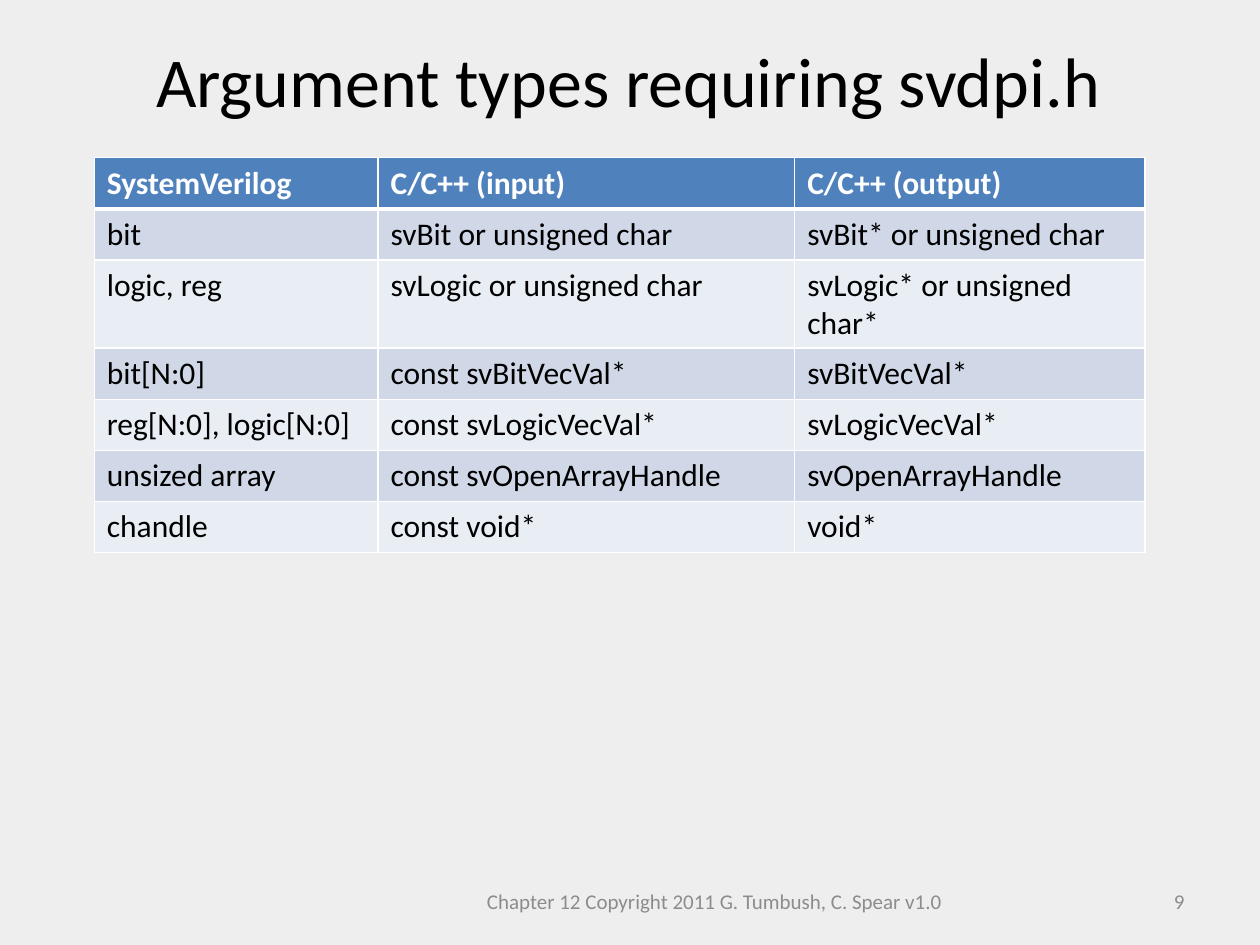
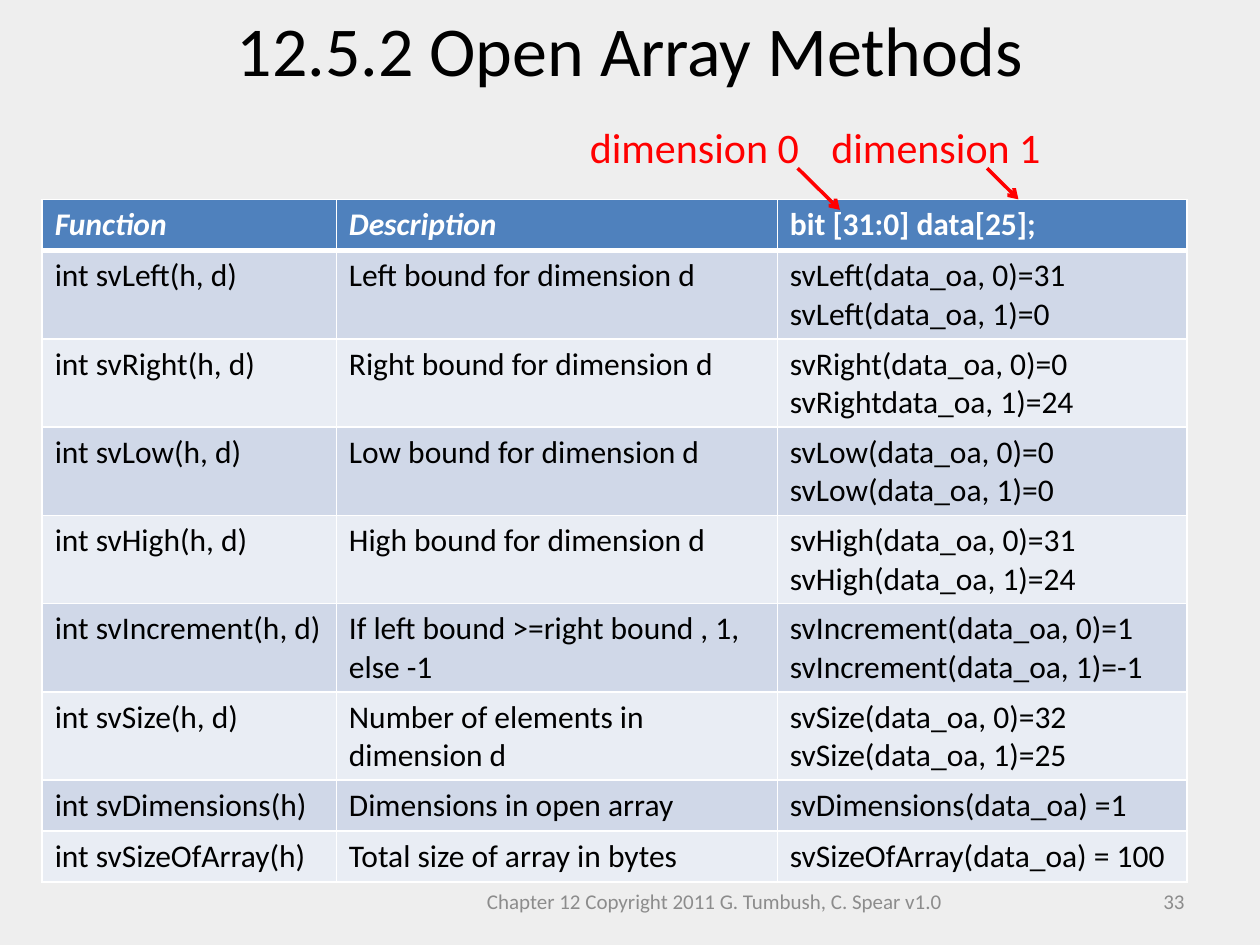
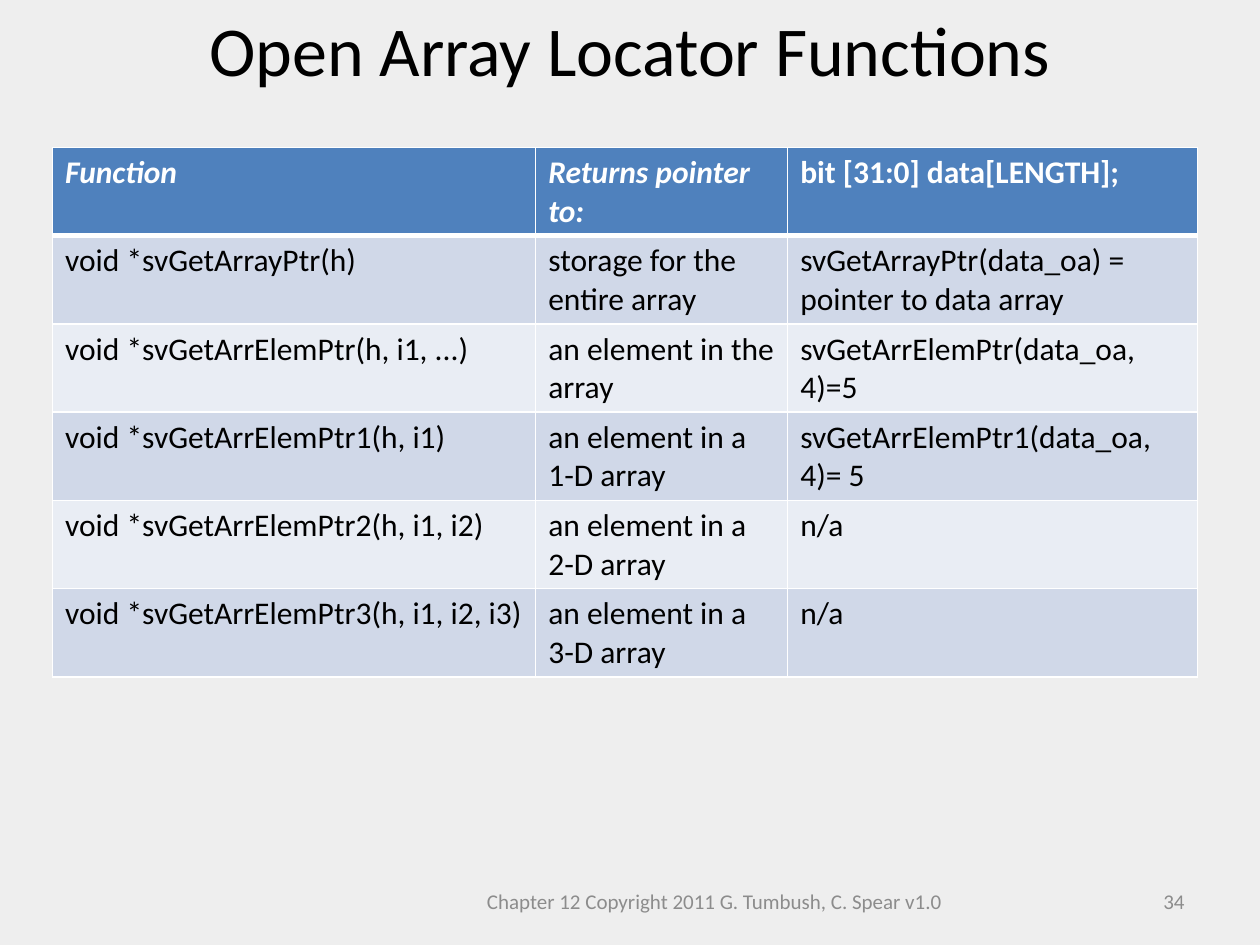
"""Build three slides of reference tables on SystemVerilog argument types and open arrays."""
from lxml import etree
from pptx import Presentation
from pptx import util as u
from pptx.dml.color import RGBColor
from pptx.enum import shapes, text
from pptx.oxml.ns import qn

FONT = "Calibri"
BLACK = RGBColor(0x00, 0x00, 0x00)
WHITE = RGBColor(0xFF, 0xFF, 0xFF)
RED = RGBColor(0xFF, 0x00, 0x00)
GREY = RGBColor(0x8C, 0x8C, 0x8C)
BACKGROUND = RGBColor(0xEE, 0xEE, 0xEE)
HEADER_FILL = RGBColor(0x4F, 0x81, 0xBD)
BAND_FILLS = RGBColor(0xD0, 0xD8, 0xE8), RGBColor(0xE9, 0xED, 0xF4)

TITLE = {"size": u.Pt(40), "color": BLACK}
FOOTER = {"size": u.Pt(12), "color": GREY}
LABEL = {"size": u.Pt(24), "color": RED}
HEADER = {"size": u.Pt(18), "color": WHITE, "bold": True}
BODY = {"size": u.Pt(18), "color": BLACK, "bold": False}

FOOTER_TEXT = "Chapter 12 Copyright 2011 G. Tumbush, C. Spear v1.0"
FOOTER_AREA = (8.69, 17.65, 11.43, 1.02)
NUMBER_AREA = (18.21, 17.65, 5.92, 1.02)
TOP_TITLE_AREA = (0, 0, 25.4, 1.96)
ROW_HEIGHT = 1.03

SLIDES = [
    {
        "title": "Argument types requiring svdpi.h",
        "title_area": (0.84, 0.64, 23.65, 1.96),
        "number": 9,
        "table_at": (1.9, 3.18),
        "columns": (5.72, 8.4, 7.06),
        "italic_heads": 0,
        "rows": [
            ("SystemVerilog", "C/C++ (input)", "C/C++ (output)"),
            ("bit", "svBit or unsigned char", "svBit* or unsigned char"),
            ("logic, reg", "svLogic or unsigned char", "svLogic* or unsigned char*"),
            ("bit[N:0]", "const svBitVecVal*", "svBitVecVal*"),
            ("reg[N:0], logic[N:0]", "const svLogicVecVal*", "svLogicVecVal*"),
            ("unsized array", "const svOpenArrayHandle", "svOpenArrayHandle"),
            ("chandle", "const void*", "void*"),
        ],
        "callouts": [],
    },
    {
        "title": "12.5.2 Open Array Methods",
        "title_area": TOP_TITLE_AREA,
        "number": 33,
        "table_at": (0.85, 4.02),
        "columns": (5.93, 8.89, 8.26),
        "italic_heads": 2,
        "rows": [
            ("Function", "Description", "bit [31:0] data[25];"),
            ("int svLeft(h, d)", "Left bound for dimension d",
             "svLeft(data_oa, 0)=31\nsvLeft(data_oa, 1)=0"),
            ("int svRight(h, d)", "Right bound for dimension d",
             "svRight(data_oa, 0)=0\nsvRightdata_oa, 1)=24"),
            ("int svLow(h, d)", "Low bound for dimension d",
             "svLow(data_oa, 0)=0\nsvLow(data_oa, 1)=0"),
            ("int svHigh(h, d)", "High bound for dimension d",
             "svHigh(data_oa, 0)=31\nsvHigh(data_oa, 1)=24"),
            ("int svIncrement(h, d)", "If left bound >=right bound , 1, else -1",
             "svIncrement(data_oa, 0)=1\nsvIncrement(data_oa, 1)=-1"),
            ("int svSize(h, d)", "Number of elements in dimension d",
             "svSize(data_oa, 0)=32\nsvSize(data_oa, 1)=25"),
            ("int svDimensions(h)", "Dimensions in open array", "svDimensions(data_oa) =1"),
            ("int svSizeOfArray(h)", "Total size of array in bytes",
             "svSizeOfArray(data_oa) = 100"),
        ],
        "callouts": [
            ("dimension 0", (11.64, 2.33, 4.78, 1.27), (16.08, 3.39, 16.93, 4.23)),
            ("dimension 1", (16.51, 2.33, 4.78, 1.27), (19.9, 3.39, 20.53, 4.02)),
        ],
    },
    {
        "title": "Open Array Locator Functions",
        "title_area": TOP_TITLE_AREA,
        "number": 34,
        "table_at": (1.06, 2.97),
        "columns": (9.74, 5.08, 8.26),
        "italic_heads": 2,
        "rows": [
            ("Function", "Returns pointer to:", "bit [31:0] data[LENGTH];"),
            ("void *svGetArrayPtr(h)", "storage for the entire array",
             "svGetArrayPtr(data_oa) = pointer to data array"),
            ("void *svGetArrElemPtr(h, i1, ...)", "an element in the array",
             "svGetArrElemPtr(data_oa, 4)=5"),
            ("void *svGetArrElemPtr1(h, i1)", "an element in a 1-D array",
             "svGetArrElemPtr1(data_oa, 4)= 5"),
            ("void *svGetArrElemPtr2(h, i1, i2)", "an element in a 2-D array", "n/a"),
            ("void *svGetArrElemPtr3(h, i1, i2, i3)", "an element in a 3-D array", "n/a"),
        ],
        "callouts": [],
    },
]


def to_cm(lengths):
    return [u.Cm(length) for length in lengths]


def write(frame, words, style, align=text.PP_ALIGN.LEFT):
    frame.text = words
    for para in frame.paragraphs:
        para.alignment = align
        for span in para.runs:
            span.font.name = FONT
            for name, value in style.items():
                if name == "color":
                    span.font.color.rgb = value
                else:
                    setattr(span.font, name, value)


def add_text(page, area, words, style, align=text.PP_ALIGN.CENTER,
             anchor=text.MSO_ANCHOR.TOP, wrap=True):
    frame = page.shapes.add_textbox(*to_cm(area)).text_frame
    frame.word_wrap = wrap
    frame.vertical_anchor = anchor
    write(frame, words, style, align)


def set_borders(cell, widths):
    properties = cell._tc.get_or_add_tcPr()
    for position, (side, points) in enumerate(widths.items()):
        line = etree.Element(qn(f"a:ln{side}"), w=str(u.Pt(points)))
        fill = etree.SubElement(line, qn("a:solidFill"))
        etree.SubElement(fill, qn("a:srgbClr"), val=str(WHITE))
        properties.insert(position, line)


def add_reference_table(page, content):
    rows, columns = content["rows"], content["columns"]
    size = sum(columns), ROW_HEIGHT * len(rows)
    table = page.shapes.add_table(
        len(rows), len(columns), *to_cm(content["table_at"] + size)).table
    for column, width in zip(table.columns, columns):
        column.width = u.Cm(width)
    for row_index, row in enumerate(rows):
        table.rows[row_index].height = u.Cm(ROW_HEIGHT)
        is_header = row_index == 0
        style = HEADER if is_header else BODY
        for column_index, words in enumerate(row):
            cell = table.cell(row_index, column_index)
            italic = is_header and column_index < content["italic_heads"]
            write(cell.text_frame, words, {**style, "italic": italic})
            cell.fill.solid()
            cell.fill.fore_color.rgb = HEADER_FILL if is_header else BAND_FILLS[(row_index - 1) % 2]
            set_borders(cell, {"L": 1, "R": 1, "T": 3 if row_index == 1 else 1,
                               "B": 3 if is_header else 1})


def add_callout(page, words, area, ends):
    arrow = page.shapes.add_connector(shapes.MSO_CONNECTOR.STRAIGHT, *to_cm(ends))
    arrow.line.color.rgb = RED
    arrow.line.width = u.Pt(2)
    etree.SubElement(arrow.line._get_or_add_ln(), qn("a:tailEnd"), type="arrow")
    etree.SubElement(arrow._element.spPr, qn("a:effectLst"))
    add_text(page, area, words, LABEL, text.PP_ALIGN.LEFT, wrap=False)


def add_page(deck, content):
    page = deck.slides.add_slide(deck.slide_layouts[6])
    page.background.fill.solid()
    page.background.fill.fore_color.rgb = BACKGROUND
    middle = text.MSO_ANCHOR.MIDDLE
    add_text(page, FOOTER_AREA, FOOTER_TEXT, FOOTER, anchor=middle)
    add_text(page, content["title_area"], content["title"], TITLE)
    add_text(page, NUMBER_AREA, str(content["number"]), FOOTER, text.PP_ALIGN.RIGHT, middle)
    add_reference_table(page, content)
    for callout in content["callouts"]:
        add_callout(page, *callout)


def main():
    deck = Presentation()
    deck.slide_width, deck.slide_height = to_cm((25.4, 19.05))
    for content in SLIDES:
        add_page(deck, content)
    deck.save("out.pptx")


if __name__ == "__main__":
    main()
